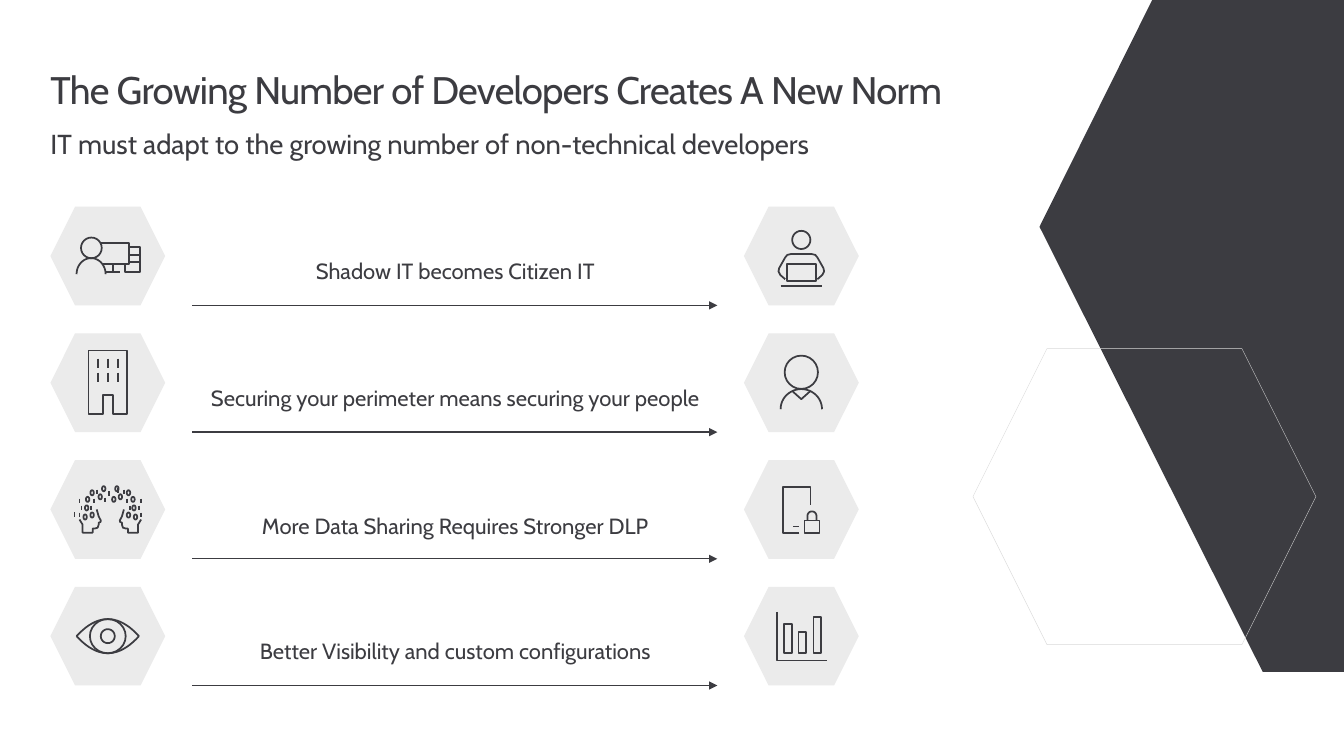
from math import cos, radians, sin

from lxml.etree import SubElement
from pptx import Presentation
from pptx.dml.color import RGBColor
from pptx.enum.shapes import MSO_CONNECTOR, MSO_SHAPE
from pptx.enum.text import MSO_ANCHOR, PP_ALIGN
from pptx.oxml.ns import qn
from pptx.util import Pt

DARK = RGBColor(0x3C, 0x3C, 0x41)
PALE = RGBColor(0xEB, 0xEB, 0xEB)
EDGE = RGBColor(0xD9, 0xD9, 0xD9)
FONT = "Cabin"

deck = Presentation()
deck.slide_width, deck.slide_height = Pt(960), Pt(540)
slide = deck.slides.add_slide(deck.slide_layouts[6])
shapes = slide.shapes


def arc(x, y, rx, ry, start=0, end=360):
    """Return points along an ellipse, clockwise from start to end degrees."""
    turns = [radians(start + (end - start) * i / 24) for i in range(25)]
    return [(x + rx * cos(t), y + ry * sin(t)) for t in turns]


def trace(strokes, x=0, y=0):
    """Draw the strokes, given in points around (x, y), as one freeform."""
    spots = [[(Pt(x + dx), Pt(y + dy)) for dx, dy in stroke] for stroke in strokes]
    pen = shapes.build_freeform(*spots[0][0], scale=1.0)
    for i, stroke in enumerate(spots):
        if i:
            pen.move_to(*stroke[0])
        pen.add_line_segments(stroke[1:], close=stroke[0] == stroke[-1])
    form = pen.convert_to_shape()
    form.shadow.inherit = False
    form.fill.background()
    form.line.color.rgb = DARK
    form.line.width = Pt(1.25)
    return form


# Dark panel on the right
panel = trace([[(823, 0), (960, 0), (960, 480), (902, 480), (742.5, 162), (823, 0)]])
panel.fill.solid()
panel.fill.fore_color.rgb = DARK
panel.line.fill.background()

# Icons, each drawn around the centre of its hexagon
coder = [
    arc(-11.7, -5.8, 7.4, 7.4),
    arc(-11.9, 13, 10.4, 11.5, 180, 360),
    [(-3.6, 5.8), (15.1, 5.8), (15.1, -9.4), (-5, -9.4)],
    [(15.8, -6.5), (23, -6.5), (23, 11.5), (12.2, 11.5), (12.2, 5.8)],
    [(3.6, 11.5), (3.6, 5.8)],
    [(8.6, 11.5), (-1.4, 11.5)],
    [(23, -0.7), (15.8, -0.7)],
    [(23, 4.3), (15.8, 4.3)],
]
laptop = [
    arc(0, -11.5, 6.5, 6.5),
    [(-11.5, 16.6), (-15, 13.5), (-16.3, 11), (-15.8, 8.6), (-11.5, 1),
     (-10, -0.8), (-7.5, -1.4), (7.5, -1.4), (10, -0.8), (11.5, 1),
     (15.8, 8.6), (16.3, 11), (15, 13.5), (11.5, 16.6)],
    [(-10.4, 5.8), (10.4, 5.8), (10.4, 18), (-10.4, 18), (-10.4, 5.8)],
    [(-14.8, 21.2), (14.8, 21.2)],
]
tower = [[(-13.7, -23), (13.7, -23), (13.7, 22.3), (3.6, 22.3), (3.6, 8.6),
          (-3.6, 8.6), (-3.6, 22.3), (-13.7, 22.3), (-13.7, -23)]]
tower += [[(x, y), (x, y + 6.8)] for y in (-17.3, -7.2) for x in (-7.2, 0, 7.2)]
person = [
    arc(0, -7.5, 11.9, 11.9),
    arc(0, 18.9, 14.8, 14.4, 180, 360),
    [(-6.5, 5.9), (0, 11.7), (6.5, 5.9)],
]
face = [(-7.9, 0), (-6.5, 5), (-5, 7.9), (-5.2, 9), (-6.5, 9.4), (-6.5, 10.8),
        (-7.2, 13), (-9.4, 13.7), (-10.8, 13.7), (-10.8, 16.6), (-18, 16.6),
        (-18, 10.8), (-20.2, 7.2)]
rings = [(-15.1, -1.1), (-11.2, 4), (-16.2, 5.4), (-14.4, -7.2),
         (-11.2, -11.9), (-5.4, -9), (-2.9, -14.8)]
ticks = [(-18.7, -1.1), (-12.2, -1.1), (-20.2, 4), (-20.2, -6.1),
         (-7.9, -12.4), (-10.1, -6.1)]
half = [face]
half += [arc(x, y, 1.2, 1.8) for x, y in rings]
half += [[(x, y - 1.7), (x, y + 1.7)] for x, y in ticks]
heads = half + [[(3.6 - x, y) for x, y in stroke] for stroke in half]
heads += [arc(4.3, -7.2, 1.2, 1.8)]
heads += [[(x, y - 1.7), (x, y + 1.7)]
          for x, y in [(-2.2, -6.8), (-23.8, 3.6), (7.2, -13.7), (0.7, -11.2)]]
lock = [
    [(-1.4, 16.6), (-13, 16.6), (-13, -15.8), (6.5, -15.8), (6.5, -2.9)],
    [(2.2, 7.9), (13, 7.9), (13, 16.6), (2.2, 16.6), (2.2, 7.9)],
    [(4.4, 7.9), *arc(7.6, 4.6, 3.2, 3.2, 180, 360), (10.8, 7.9)],
    [(-5.8, 12.2), (-1.4, 12.2)],
]
lid = [(x, 12.2 * (x / 22.3) ** 2 - 12.2) for x in [22.3 * i / 10 for i in range(-10, 11)]]
eye = [lid, [(x, -y) for x, y in lid], arc(0, 0, 12.8, 12.2), arc(0, 0, 5, 5)]
bars = [[(x, 12.2), (x, top), (x + 5.4, top), (x + 5.4, 12.2), (x, 12.2)]
        for x, top in [(-12.2, -8.6), (-2, -2.9), (8.6, -13.7)]]
bars += [[(-17.3, -17.3), (-17.3, 17.3), (18, 17.3)]]

# Rows: icon, arrow with label, icon
rows = [
    ("Shadow IT becomes Citizen IT", 173.5, coder, laptop),
    ("Securing your perimeter means securing your people", 264.2, tower, person),
    ("More Data Sharing Requires Stronger DLP", 355.7, heads, lock),
    ("Better Visibility and custom configurations", 445, eye, bars),
]
for i, (label, top, left, right) in enumerate(rows):
    mid = 182.9 + 90.5 * i
    for x, icon in [(77, left), (572.4, right)]:
        tile = shapes.add_shape(MSO_SHAPE.HEXAGON, Pt(x - 41), Pt(mid - 35.25), Pt(82), Pt(70.5))
        tile.shadow.inherit = False
        tile.fill.solid()
        tile.fill.fore_color.rgb = PALE
        tile.line.fill.background()
        trace(icon, x, mid)

    base = Pt(mid + 35.25)
    arrow = shapes.add_connector(MSO_CONNECTOR.STRAIGHT, Pt(137.3), base, Pt(512.4), base)
    arrow.line.color.rgb = DARK
    arrow.line.width = Pt(1)
    SubElement(arrow.line._get_or_add_ln(), qn("a:tailEnd"), type="triangle")
    SubElement(arrow._element.spPr, qn("a:effectLst"))

    box = shapes.add_textbox(Pt(134.8), Pt(top), Pt(380.9), Pt(39.6))
    frame = box.text_frame
    frame.word_wrap = True
    frame.vertical_anchor = MSO_ANCHOR.MIDDLE
    frame.text = label
    line = frame.paragraphs[0]
    line.alignment = PP_ALIGN.CENTER
    font = line.runs[0].font
    font.name, font.size, font.color.rgb = FONT, Pt(15.7), DARK

# Outlined hexagon over the panel
ring = shapes.add_shape(MSO_SHAPE.HEXAGON, Pt(695), Pt(249), Pt(245), Pt(211.5))
ring.shadow.inherit = False
ring.fill.background()
ring.line.color.rgb = EDGE
ring.line.width = Pt(0.25)

# Title and subtitle
heading = [
    ("The Growing Number of Developers Creates A New Norm", 49, 31.4, 27.4),
    ("IT must adapt to the growing number of non-technical developers", 90.7, 23.5, 19.6),
]
for i, (words, top, height, size) in enumerate(heading):
    box = shapes.add_textbox(Pt(36), Pt(top), Pt(890), Pt(height))
    frame = box.text_frame
    frame.word_wrap = True
    frame.margin_left = frame.margin_right = frame.margin_top = frame.margin_bottom = 0
    frame.text = words
    line = frame.paragraphs[0]
    run = line.runs[0]
    run.font.name, run.font.size, run.font.color.rgb = FONT, Pt(size), DARK
    if i == 0:
        line.line_spacing = Pt(31.4)
        run.font._element.set("spc", "-50")

deck.save("out.pptx")
